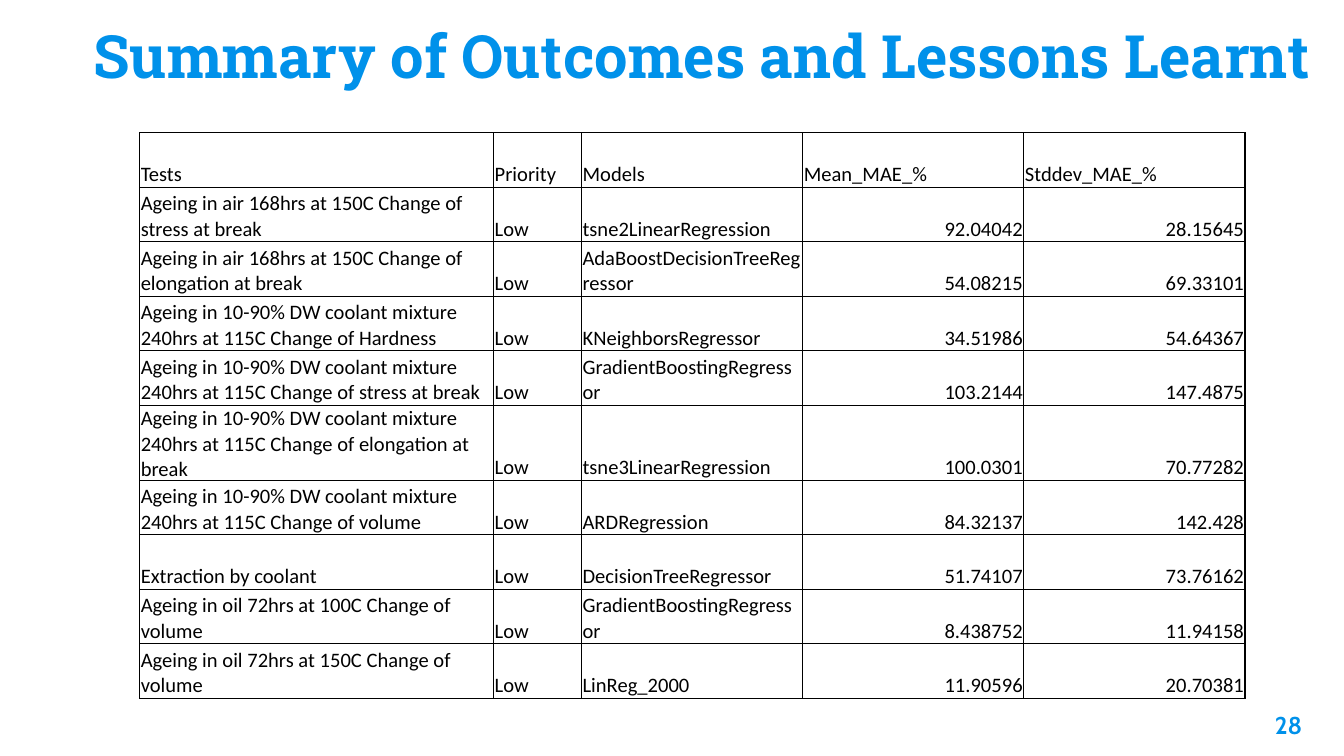
import dataclasses
import typing

import lxml.etree
import pptx
import pptx.dml.color
import pptx.enum.text
import pptx.oxml.ns
import pptx.util

Cm = pptx.util.Cm
Pt = pptx.util.Pt
RGB = pptx.dml.color.RGBColor
ALIGN = pptx.enum.text.PP_ALIGN
ANCHOR = pptx.enum.text.MSO_ANCHOR
qn = pptx.oxml.ns.qn


@dataclasses.dataclass(frozen=True)
class Theme:
    accent: RGB = RGB(0x00, 0x91, 0xEA)
    ink: RGB = RGB(0x00, 0x00, 0x00)
    title_font: str = "Roboto Slab"
    number_font: str = "Cabin"
    table_font: str = "Calibri"
    title_size: float = 32
    number_size: float = 13
    table_size: float = 11
    border_width: float = 0.75


class Label(typing.NamedTuple):
    text: str
    box: tuple[float, float, float, float]
    align: ALIGN
    anchor: ANCHOR
    font: dict[str, typing.Any]


class Result(typing.NamedTuple):
    test: str
    priority: str
    model: str
    mean: str
    stddev: str


THEME = Theme()
COOLANT = "Ageing in 10-90% DW coolant mixture 240hrs at 115C Change of "
AIR = "Ageing in air 168hrs at 150C Change of "
HEADER = Result("Tests", "Priority", "Models", "Mean_MAE_%", "Stddev_MAE_%")
RESULTS = [
    Result(AIR + "stress at break", "Low", "tsne2LinearRegression", "92.04042", "28.15645"),
    Result(AIR + "elongation at break", "Low", "AdaBoostDecisionTreeRegressor", "54.08215", "69.33101"),
    Result(COOLANT + "Hardness", "Low", "KNeighborsRegressor", "34.51986", "54.64367"),
    Result(COOLANT + "stress at break", "Low", "GradientBoostingRegressor", "103.2144", "147.4875"),
    Result(COOLANT + "elongation at break", "Low", "tsne3LinearRegression", "100.0301", "70.77282"),
    Result(COOLANT + "volume", "Low", "ARDRegression", "84.32137", "142.428"),
    Result("Extraction by coolant", "Low", "DecisionTreeRegressor", "51.74107", "73.76162"),
    Result("Ageing in oil 72hrs at 100C Change of volume", "Low", "GradientBoostingRegressor", "8.438752", "11.94158"),
    Result("Ageing in oil 72hrs at 150C Change of volume", "Low", "LinReg_2000", "11.90596", "20.70381"),
]
LABELS = [
    Label("28", (23.34, 13.18, 1.52, 1.09), ALIGN.RIGHT, ANCHOR.TOP,
          {"name": THEME.number_font, "size": Pt(THEME.number_size), "bold": True}),
    Label("Summary of Outcomes and Lessons Learnt", (1.52, 0, 25.22, 1.96), ALIGN.LEFT, ANCHOR.BOTTOM,
          {"name": THEME.title_font, "size": Pt(THEME.title_size), "bold": True}),
]
TABLE_LEFT, TABLE_TOP = 2.64, 2.51
COLUMN_WIDTHS = [6.69, 1.66, 4.18, 4.18, 4.18]
ROW_HEIGHT = 1.03
FIRST_NUMBER_COLUMN = 3


def set_all(obj: typing.Any, values: dict[str, typing.Any]) -> None:
    for name, value in values.items():
        setattr(obj, name, value)


def write(p: typing.Any, text: str, align: ALIGN, color: RGB, font: dict[str, typing.Any]) -> None:
    p.alignment = align
    r = p.add_run()
    r.text = text
    set_all(r.font, font)
    r.font.color.rgb = color


def add_label(s: typing.Any, label: Label) -> None:
    sp = s.shapes.add_textbox(*map(Cm, label.box))
    tf = sp.text_frame
    margins = dict.fromkeys(("margin_left", "margin_right", "margin_top", "margin_bottom"), Cm(0.25))
    set_all(tf, {"word_wrap": True, "vertical_anchor": label.anchor} | margins)
    write(tf.paragraphs[0], label.text, label.align, THEME.accent, label.font)


def add_borders(cell: typing.Any) -> None:
    tc_pr = cell._tc.get_or_add_tcPr()
    for side in ("a:lnL", "a:lnR", "a:lnT", "a:lnB"):
        ln = lxml.etree.SubElement(tc_pr, qn(side), w=str(Pt(THEME.border_width)))
        fill = lxml.etree.SubElement(ln, qn("a:solidFill"))
        lxml.etree.SubElement(fill, qn("a:srgbClr"), val=str(THEME.ink))


def add_results(s: typing.Any, rows: list[Result]) -> None:
    table = s.shapes.add_table(
        len(rows), len(COLUMN_WIDTHS), Cm(TABLE_LEFT), Cm(TABLE_TOP),
        Cm(sum(COLUMN_WIDTHS)), Cm(ROW_HEIGHT * len(rows)),
    ).table
    set_all(table, {"first_row": False, "horz_banding": False})
    for column, width in zip(table.columns, COLUMN_WIDTHS):
        column.width = Cm(width)
    font = {"name": THEME.table_font, "size": Pt(THEME.table_size)}
    layout = {"vertical_anchor": ANCHOR.BOTTOM, "margin_bottom": Cm(0)}
    layout |= dict.fromkeys(("margin_left", "margin_right", "margin_top"), Cm(0.02))
    for i, row in enumerate(rows):
        table.rows[i].height = Cm(ROW_HEIGHT)
        for j, text in enumerate(row):
            cell = table.cell(i, j)
            set_all(cell, layout)
            add_borders(cell)
            cell.fill.background()
            align = ALIGN.RIGHT if i > 0 and j >= FIRST_NUMBER_COLUMN else ALIGN.LEFT
            write(cell.text_frame.paragraphs[0], text, align, THEME.ink, font)


def main() -> None:
    prs = pptx.Presentation()
    set_all(prs, {"slide_width": Cm(25.4), "slide_height": Cm(14.29)})
    s = prs.slides.add_slide(prs.slide_layouts[6])
    for label in LABELS:
        add_label(s, label)
    add_results(s, [HEADER, *RESULTS])
    prs.save("out.pptx")


if __name__ == "__main__":
    main()
